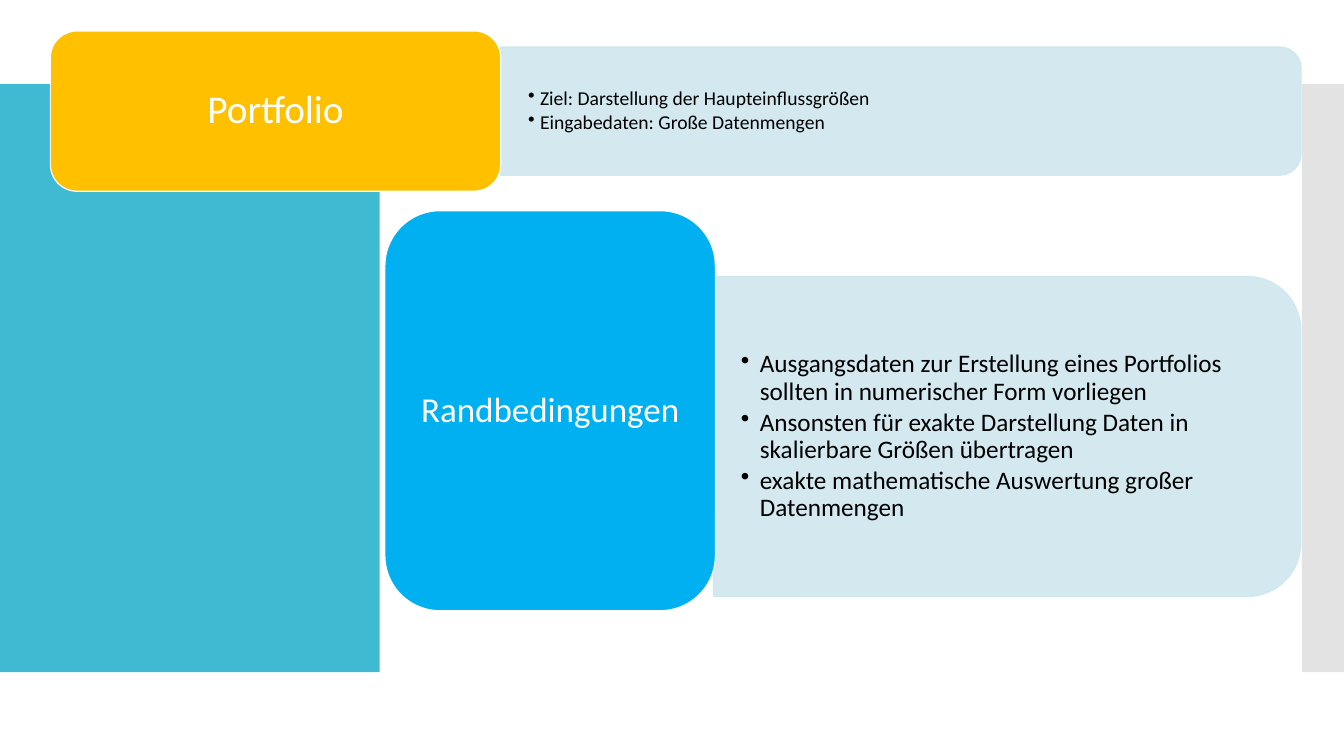
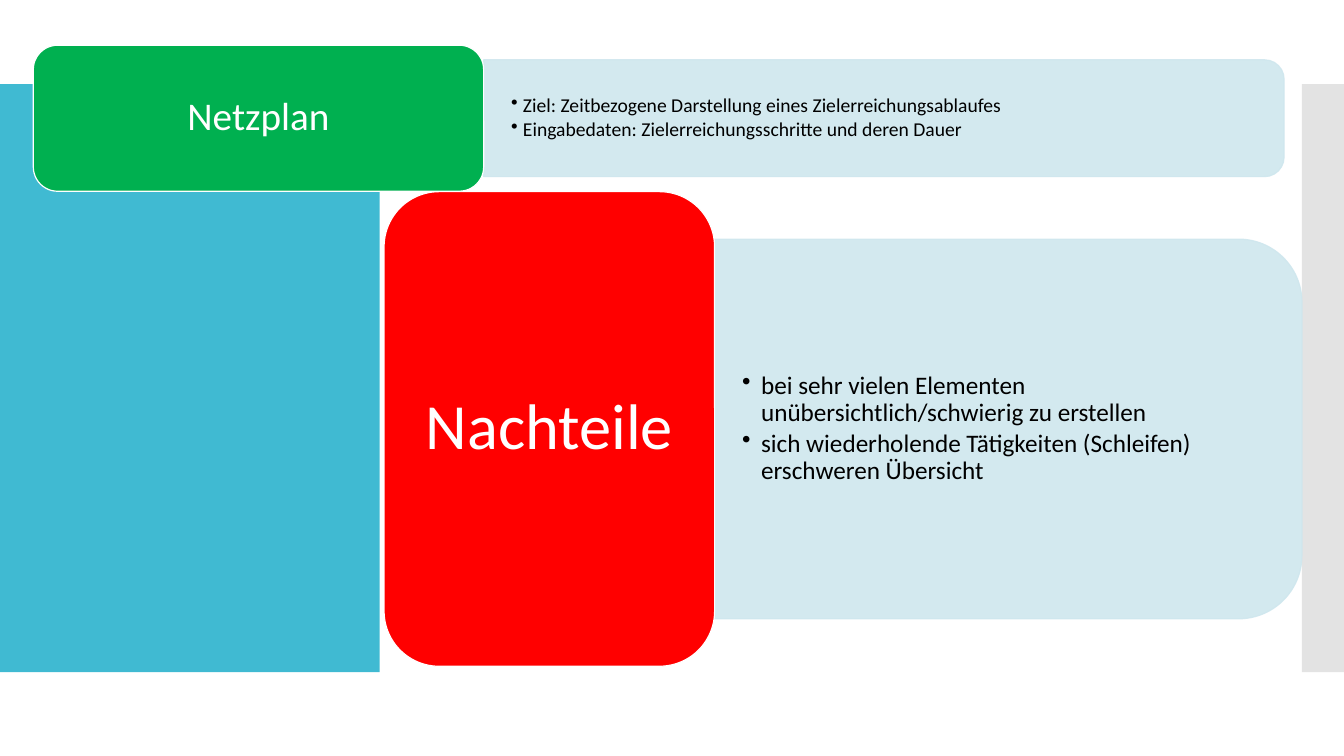
from lxml import etree
from pptx import Presentation
from pptx.dml.color import RGBColor
from pptx.enum.shapes import MSO_SHAPE as Preset
from pptx.enum.text import MSO_ANCHOR as Anchor, PP_ALIGN as Align
from pptx.oxml.ns import qn
from pptx.util import Cm, Pt

TEAL, GREY, PALE = "40BAD2", "C8C8C8", "CFE7EE"
YELLOW, BLUE, GREEN, RED = "FFC000", "00B0F0", "00B050", "FF0000"
WHITE, BLACK = "FFFFFF", "000000"


def rgb(color):
    return RGBColor.from_string(color)


def paint(fill, parent, color, opacity=100):
    fill.solid()
    fill.fore_color.rgb = rgb(color)
    if opacity < 100:
        node = parent.find(qn("a:solidFill")).find(qn("a:srgbClr"))
        etree.SubElement(node, qn("a:alpha"), val=str(opacity * 1000))


class Deck:
    font = "Calibri"
    corner_inset = 0.0488
    panel_ratio = 0.8

    def __init__(self):
        self.deck = Presentation()
        self.deck.slide_width, self.deck.slide_height = Cm(33.87), Cm(19.05)
        self.page = None

    def new_page(self):
        self.page = self.deck.slides.add_slide(self.deck.slide_layouts[6])
        self.shape(Preset.RECTANGLE, 0, 2.12, 9.57, 14.82, TEAL)
        self.shape(Preset.RECTANGLE, 32.81, 2.12, 1.06, 14.82, GREY, opacity=50)

    def shape(self, preset, left, top, width, height, color, line=None, opacity=100):
        box = self.page.shapes.add_shape(preset, Cm(left), Cm(top), Cm(width), Cm(height))
        box.shadow.inherit = False
        properties = box._element.spPr
        paint(box.fill, properties, color, opacity)
        if line:
            box.line.width = Pt(0.85)
            paint(box.line.fill, properties.find(qn("a:ln")), line, opacity)
        else:
            box.line.fill.background()
        return box

    def text(self, box, lines, size, color, align, after, insets, indent=0):
        frame = box.text_frame
        frame.word_wrap = True
        frame.vertical_anchor = Anchor.MIDDLE
        frame.margin_left = frame.margin_right = Cm(insets[0])
        frame.margin_top = frame.margin_bottom = Cm(insets[1])
        for number, line in enumerate(lines):
            para = frame.add_paragraph() if number else frame.paragraphs[0]
            para.text = line
            para.alignment = align
            para.line_spacing = 0.9
            para.space_after = Pt(round(size * after, 1))
            if indent:
                properties = para._p.get_or_add_pPr()
                properties.set("marL", str(Cm(indent)))
                properties.set("indent", str(-Cm(indent)))
                etree.SubElement(properties, qn("a:buChar"), char="•")
            para.font.name = self.font
            para.font.size = Pt(size)
            para.font.color.rgb = rgb(color)

    def label(self, title, size, left, top, width, height, color):
        box = self.shape(Preset.ROUNDED_RECTANGLE, left, top, width, height, color, WHITE)
        insets = (size * 0.0105, size * 0.0053)
        self.text(box, [title], size, WHITE, Align.CENTER, 0.35, insets)

    def panel(self, lines, size, left, top, width, height, indent):
        turned_left = left + (width - height) / 2
        turned_top = top + (height - width) / 2
        panel = self.shape(Preset.ROUND_2_SAME_RECTANGLE, turned_left, turned_top,
                           height, width, PALE, PALE, 90)
        panel.rotation = 90
        inset = height * self.corner_inset
        box = self.page.shapes.add_textbox(Cm(left), Cm(top + inset),
                                           Cm(width - inset), Cm(height - 2 * inset))
        self.text(box, lines, size, BLACK, Align.LEFT, 0.15, (0.69, 0.36), indent)

    def row(self, title, title_size, label_area, color, lines, size, panel_width,
            indent, shift=(0, 0)):
        left, top, width, height = label_area
        panel_height = height * self.panel_ratio
        panel_top = top + (height - panel_height) / 2 + shift[1]
        self.panel(lines, size, left + width + shift[0], panel_top,
                   panel_width, panel_height, indent)
        self.label(title, title_size, *label_area, color)

    def detail_row(self, title, title_size, label_area, color, lines, shift=(0, 0)):
        self.row(title, title_size, label_area, color, lines, 18, 14.8, 0.48, shift)

    def heading_row(self, title, label_area, color, lines):
        self.row(title, 28, label_area, color, lines, 14, 20.17, 0.3)

    def save(self):
        self.deck.save("out.pptx")


def main():
    deck = Deck()

    deck.new_page()
    deck.detail_row("Randbedingungen", 25, (9.7, 5.31, 8.33, 10.08), BLUE, [
        "Ausgangsdaten zur Erstellung eines Portfolios sollten in numerischer Form vorliegen",
        "Ansonsten für exakte Darstellung Daten in skalierbare Größen übertragen",
        "exakte mathematische Auswertung großer Datenmengen",
    ], shift=(-0.05, 0.65))
    deck.heading_row("Portfolio", (1.27, 0.78, 11.35, 4.04), YELLOW, [
        "Ziel: Darstellung der Haupteinflussgrößen",
        "Eingabedaten: Große Datenmengen",
    ])

    deck.new_page()
    deck.detail_row("Nachteile", 46, (9.68, 4.83, 8.33, 11.96), RED, [
        "bei sehr vielen Elementen unübersichtlich/schwierig zu erstellen",
        "sich wiederholende Tätigkeiten (Schleifen) erschweren Übersicht",
    ])
    deck.heading_row("Netzplan", (0.84, 1.14, 11.35, 3.68), GREEN, [
        "Ziel: Zeitbezogene Darstellung eines Zielerreichungsablaufes",
        "Eingabedaten: Zielerreichungsschritte und deren Dauer",
    ])

    deck.save()


if __name__ == "__main__":
    main()
